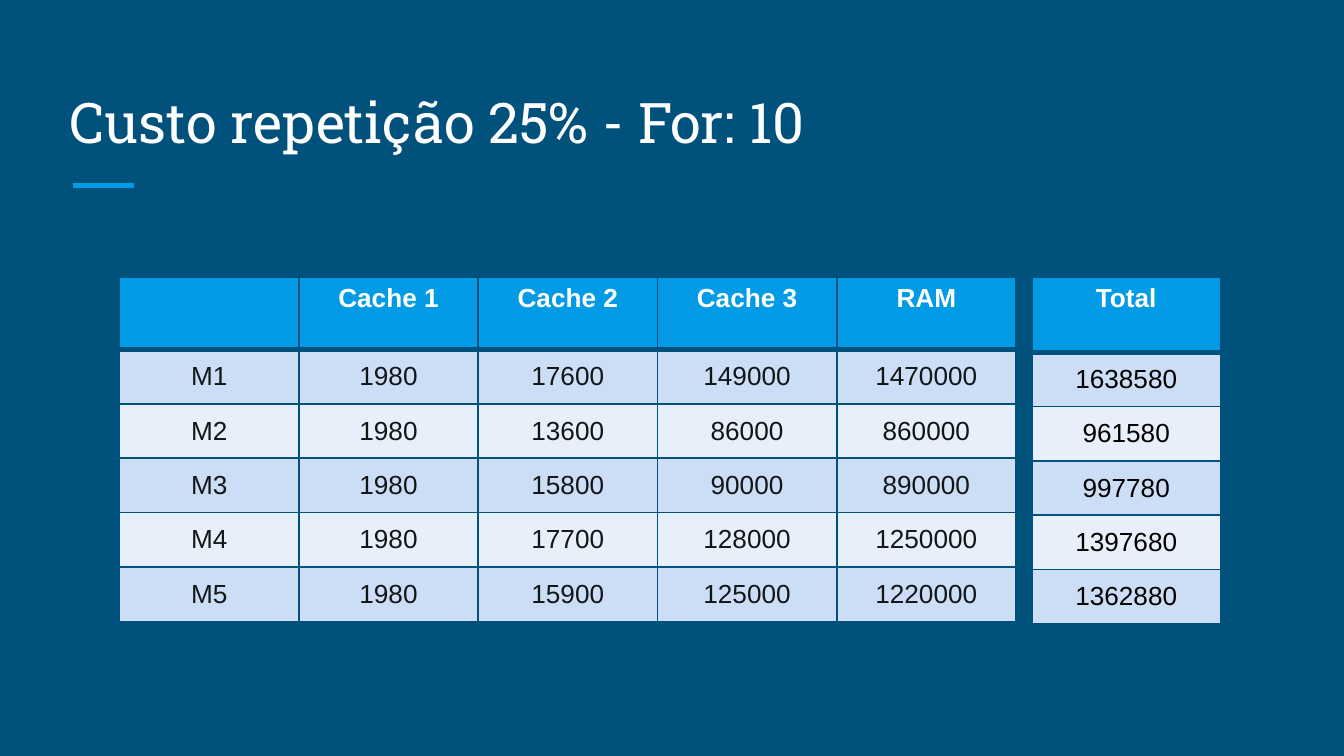
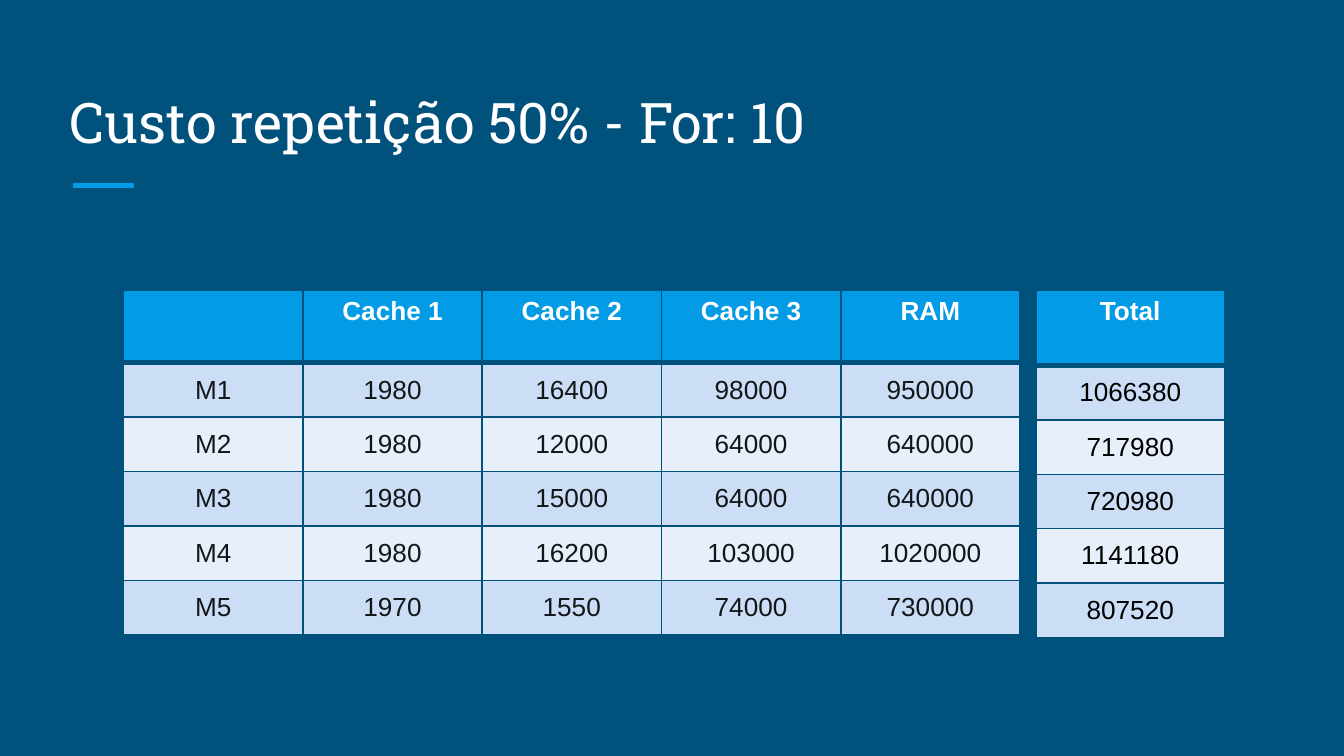
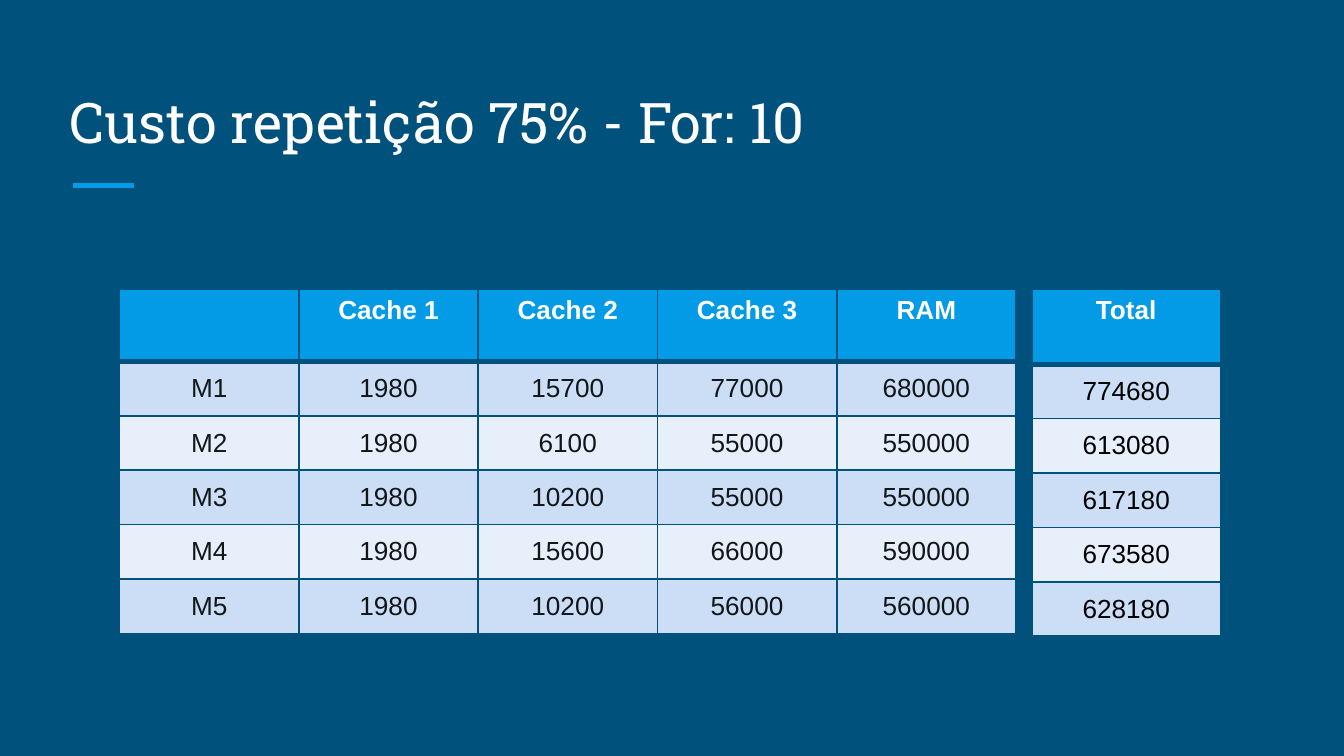
from lxml.etree import SubElement
from pptx import Presentation
from pptx.dml.color import RGBColor
from pptx.enum.shapes import MSO_CONNECTOR as Connector
from pptx.enum.text import MSO_ANCHOR as Anchor, PP_ALIGN as Align
from pptx.oxml import parse_xml
from pptx.oxml.ns import nsdecls, qn
from pptx.util import Inches, Pt

# Shared look
NAVY, SKY, WHITE = "00517C", "039BE5", "FFFFFF"
BANDS = ("CCDEF5", "E7EFFA")
LABEL_INK, COST_INK, TOTAL_INK = "121719", "121618", "000000"
TITLE_BOX = (0.42, 0.5, 9.15, 0.75)
COST_WIDTH, TOTAL_WIDTH, TOTAL_OFFSET = 6.67, 1.4, 6.79
COST_HEADER, TOTAL_HEADER, ROW_HEIGHT = 0.54, 0.56, 0.405
LEVELS = ["", "Cache 1", "Cache 2", "Cache 3", "RAM"]

# Repetition share, position of the tables, costs of M1 to M5 per level
SCENARIOS = [
    ("25%", 0.89, 2.06, [
        (1980, 17600, 149000, 1470000),
        (1980, 13600, 86000, 860000),
        (1980, 15800, 90000, 890000),
        (1980, 17700, 128000, 1250000),
        (1980, 15900, 125000, 1220000)]),
    ("50%", 0.92, 2.16, [
        (1980, 16400, 98000, 950000),
        (1980, 12000, 64000, 640000),
        (1980, 15000, 64000, 640000),
        (1980, 16200, 103000, 1020000),
        (1970, 1550, 74000, 730000)]),
    ("75%", 0.89, 2.15, [
        (1980, 15700, 77000, 680000),
        (1980, 6100, 55000, 550000),
        (1980, 10200, 55000, 550000),
        (1980, 15600, 66000, 590000),
        (1980, 10200, 56000, 560000)]),
]


def color(value):
    return RGBColor.from_string(value)


def write(frame, text, size=14, font="Arial", ink=WHITE, bold=False, align=Align.CENTER):
    paragraph = frame.paragraphs[0]
    paragraph.alignment = align
    run = paragraph.add_run()
    run.text = text
    run.font.size, run.font.name, run.font.bold = Pt(size), font, bold
    run.font.color.rgb = color(ink)


def set_borders(cell, top=1, bottom=1):
    """Add the cell borders; they must come before the fill."""
    properties = cell._tc.get_or_add_tcPr()
    for position, (side, points) in enumerate(
            [("L", 1), ("R", 1), ("T", top), ("B", bottom)]):
        properties.insert(position, parse_xml(
            f'<a:ln{side} {nsdecls("a")} w="{Pt(points)}"><a:solidFill>'
            f'<a:srgbClr val="{NAVY}"/></a:solidFill></a:ln{side}>'))


def add_title(slide, text, left, top, width, height):
    box = slide.shapes.add_textbox(*map(Inches, (left, top, width, height)))
    frame = box.text_frame
    frame.word_wrap, frame.vertical_anchor = True, Anchor.BOTTOM
    frame.margin_left = frame.margin_right = Inches(0.1)
    frame.margin_top = frame.margin_bottom = Inches(0.1)
    write(frame, text, size=30, font="Roboto Slab", align=Align.LEFT)

    # Accent rule under the title
    rule_left, rule_top = left + 0.12, top + height + 0.13
    rule = slide.shapes.add_connector(
        Connector.STRAIGHT, Inches(rule_left), Inches(rule_top),
        Inches(rule_left + 0.46), Inches(rule_top))
    rule.line.color.rgb, rule.line.width = color(SKY), Pt(3)
    SubElement(rule._element.spPr, qn("a:effectLst"))


def add_banded_table(slide, rows, inks, left, top, width, header_height):
    """Place a header row and banded rows; inks holds one text colour per column."""
    height = header_height + ROW_HEIGHT * (len(rows) - 1)
    table = slide.shapes.add_table(
        len(rows), len(inks), *map(Inches, (left, top, width, height))).table
    for column in table.columns:
        column.width = Inches(width / len(inks))
    for r, values in enumerate(rows):
        header = r == 0
        table.rows[r].height = Inches(header_height if header else ROW_HEIGHT)
        for c, value in enumerate(values):
            cell = table.cell(r, c)
            cell.fill.solid()
            cell.fill.fore_color.rgb = color(SKY if header else BANDS[(r - 1) % 2])
            cell.vertical_anchor = Anchor.TOP if header else Anchor.MIDDLE
            set_borders(cell, top=3 if r == 1 else 1, bottom=3 if header else 1)
            if value != "":
                write(cell.text_frame, str(value), bold=header,
                      ink=WHITE if header else inks[c])


def add_cost_slide(deck, share, left, top, costs):
    slide = deck.slides.add_slide(deck.slide_layouts[6])
    slide.background.fill.solid()
    slide.background.fill.fore_color.rgb = color(NAVY)
    add_title(slide, f"Custo repetição {share} - For: 10", *TITLE_BOX)

    # Cost per memory level, then the sum for each machine
    cost_rows = [LEVELS] + [(f"M{n}", *row) for n, row in enumerate(costs, 1)]
    add_banded_table(slide, cost_rows, [LABEL_INK] + [COST_INK] * 4,
                     left, top, COST_WIDTH, COST_HEADER)
    total_rows = [["Total"]] + [[sum(row)] for row in costs]
    add_banded_table(slide, total_rows, [TOTAL_INK],
                     left + TOTAL_OFFSET, top, TOTAL_WIDTH, TOTAL_HEADER)


deck = Presentation()
deck.slide_width, deck.slide_height = Inches(10), Inches(5.625)
for scenario in SCENARIOS:
    add_cost_slide(deck, *scenario)
deck.save("out.pptx")
